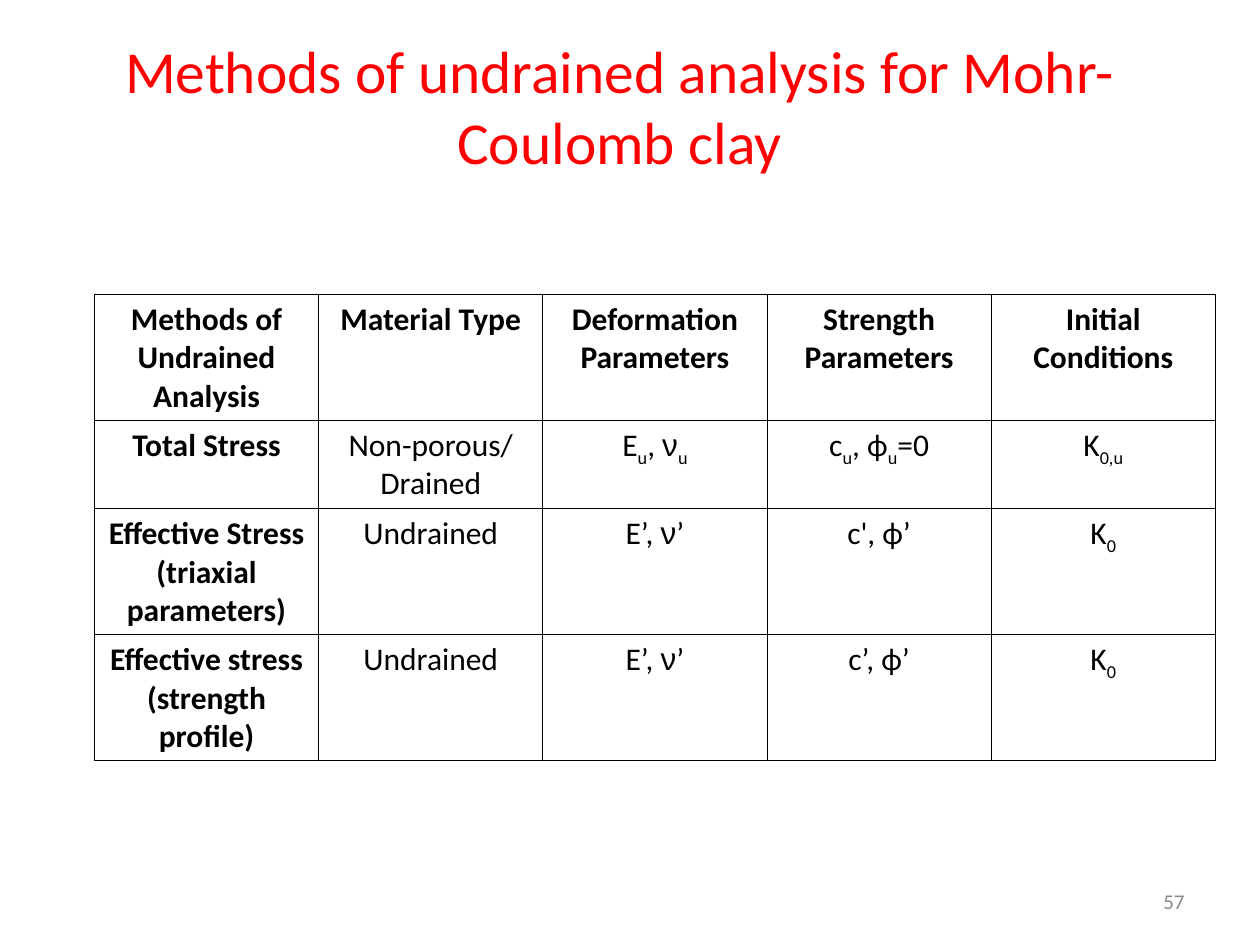
from itertools import groupby

from lxml import etree
from pptx import Presentation
from pptx.dml.color import RGBColor
from pptx.enum import text
from pptx.oxml import ns
from pptx.util import Pt

COLORS = {"title": "FF0000", "body": "000000", "number": "898989"}


def style(paragraph, size, color, align, bold=False):
    paragraph.alignment = align
    font = paragraph.font
    font.name, font.size, font.bold = "Calibri", Pt(size), bold
    font.color.rgb = RGBColor.from_string(COLORS[color])


def add_border(cell, side):
    line = etree.SubElement(cell._tc.get_or_add_tcPr(), ns.qn(f"a:{side}"), w=str(Pt(0.45)))
    fill = etree.SubElement(line, ns.qn("a:solidFill"))
    etree.SubElement(fill, ns.qn("a:srgbClr"), val=COLORS["body"])


deck = Presentation()
deck.slide_width, deck.slide_height = Pt(720), Pt(540)
slide = deck.slides.add_slide(deck.slide_layouts[6])

# Title and slide number
captions = [
    ("Methods of undrained analysis for Mohr-Coulomb clay",
     (48, 15, 612, 90), 34, "title", text.PP_ALIGN.CENTER),
    ("57", (516, 500.5, 168, 28.75), 12, "number", text.PP_ALIGN.RIGHT),
]
for words, place, size, color, align in captions:
    frame = slide.shapes.add_textbox(*map(Pt, place)).text_frame
    frame.word_wrap = True
    frame.vertical_anchor = text.MSO_ANCHOR.MIDDLE
    frame.text = words
    style(frame.paragraphs[0], size, color, align)

# Methods table: "|" switches between normal text and subscript
methods = [
    ["Methods of Undrained Analysis", "Material Type", "Deformation Parameters",
     "Strength Parameters", "Initial Conditions"],
    ["Total Stress", "Non-porous/ Drained", "E|u|, ν|u", "c|u|, ϕ|u|=0", "K|0,u"],
    ["Effective Stress (triaxial parameters)", "Undrained", "E’, ν’", "c', ϕ’", "K|0"],
    ["Effective stress (strength profile)", "Undrained", "E’, ν’", "c’, ϕ’", "K|0"],
]
row_heights = [72, 50.4, 72, 72]
table = slide.shapes.add_table(4, 5, Pt(54), Pt(168), Pt(640.5), Pt(sum(row_heights))).table
table.first_row = table.horz_banding = False
for row, height in zip(table.rows, row_heights):
    row.height = Pt(height)

for r, method in enumerate(methods):
    for c, entry in enumerate(method):
        cell = table.cell(r, c)
        for side in ("lnL", "lnR", "lnT", "lnB"):
            add_border(cell, side)
        cell.fill.background()
        paragraph = cell.text_frame.paragraphs[0]
        style(paragraph, 18, "body", text.PP_ALIGN.CENTER, bold=r == 0 or c == 0)
        for level, piece in enumerate(entry.split("|")):
            # The Greek nu is set in Arial
            for is_nu, letters in groupby(piece, lambda letter: letter == "ν"):
                run = paragraph.add_run()
                run.text = "".join(letters)
                if is_nu:
                    run.font.name = "Arial"
                if level % 2:
                    run.font._element.set("baseline", "-25000")

deck.save("out.pptx")
